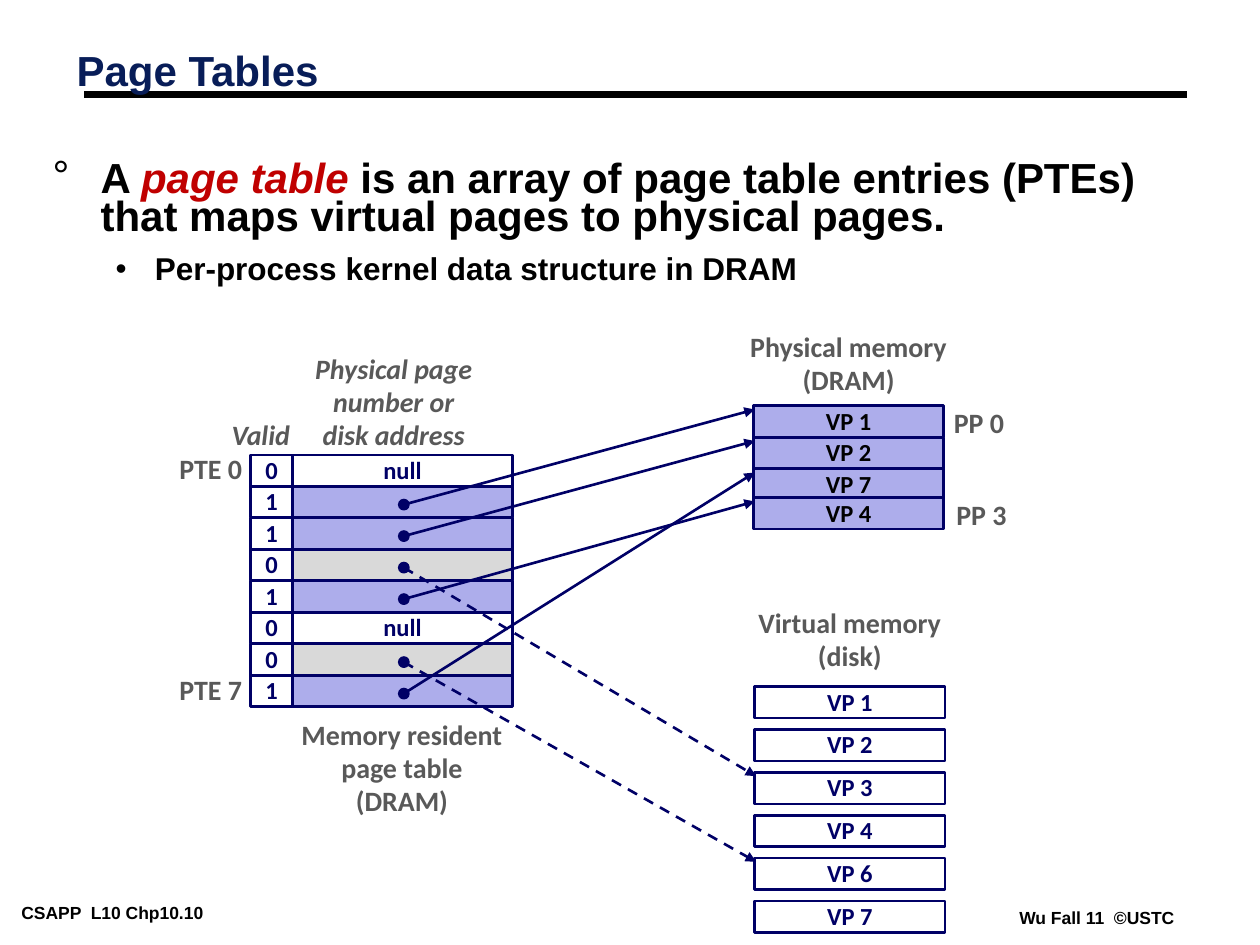
from dataclasses import dataclass

from lxml import etree
from pptx import Presentation
from pptx import util as u
from pptx.dml.color import RGBColor
from pptx.enum import dml, shapes, text
from pptx.oxml import ns

LEFT, MID, RIGHT = text.PP_ALIGN.LEFT, text.PP_ALIGN.CENTER, text.PP_ALIGN.RIGHT
TOP, MIDDLE = text.MSO_ANCHOR.TOP, text.MSO_ANCHOR.MIDDLE


@dataclass(frozen=True)
class Theme:
    ink: str = "000000"
    title: str = "081D58"
    key: str = "C00000"
    navy: str = "000066"
    gray: str = "595959"
    lilac: str = "ADADEB"
    pale: str = "D9D9D9"
    white: str = "FFFFFF"
    head: str = "Arial"
    note: str = "Calibri"
    big: int = 24
    sub: int = 18
    label: int = 16
    cell: int = 14
    foot: int = 10


T = Theme()


def rgb(code):
    return RGBColor.from_string(code)


def add_run(para, words, size, color, face=T.head, slant=False):
    run = para.add_run()
    run.text = words
    font = run.font
    font.name, font.size, font.bold, font.italic = face, u.Pt(size), True, slant
    font.color.rgb = rgb(color)


def set_frame(frame, anchor=TOP, wrap=False, pad=(0.1, 0.05)):
    frame.word_wrap = wrap
    frame.vertical_anchor = anchor
    frame.margin_left = frame.margin_right = u.Inches(pad[0])
    frame.margin_top = frame.margin_bottom = u.Inches(pad[1])
    return frame


def add_box(slide, box, **style):
    return set_frame(slide.shapes.add_textbox(*box).text_frame, **style)


def add_label(slide, box, lines, align=MID, slant=False, anchor=TOP):
    frame = add_box(slide, box, anchor=anchor)
    for i, words in enumerate(lines):
        para = frame.add_paragraph() if i else frame.paragraphs[0]
        para.alignment, para.line_spacing = align, 0.98
        add_run(para, words, T.label, T.gray, T.note, slant)


def add_cell(slide, box, fill=None, words="", color=T.navy):
    cell = slide.shapes.add_shape(shapes.MSO_SHAPE.RECTANGLE, *box)
    cell.shadow.inherit = False
    if fill:
        cell.fill.solid()
        cell.fill.fore_color.rgb = rgb(fill)
    else:
        cell.fill.background()
    cell.line.color.rgb, cell.line.width = rgb(T.navy), u.Pt(1.5)
    if words:
        para = set_frame(cell.text_frame, MIDDLE).paragraphs[0]
        para.alignment, para.line_spacing = MID, 0.98
        add_run(para, words, T.cell, color, T.note)


def add_dot(slide, x, y):
    size = u.Inches(0.08)
    dot = slide.shapes.add_shape(
        shapes.MSO_SHAPE.OVAL, x - size // 2, y - size // 2, size, size)
    dot.shadow.inherit = False
    dot.fill.solid()
    dot.fill.fore_color.rgb = dot.line.color.rgb = rgb(T.navy)
    dot.line.width = u.Pt(1)


def add_line(slide, start, end, color, width):
    line = slide.shapes.add_connector(shapes.MSO_CONNECTOR.STRAIGHT, *start, *end)
    line.line.color.rgb, line.line.width = rgb(color), u.Pt(width)
    etree.SubElement(line._element.spPr, ns.qn("a:effectLst"))
    return line


def add_arrow(slide, start, end, dashed):
    line = add_line(slide, start, end, T.navy, 1.5)
    if dashed:
        line.line.dash_style = dml.MSO_LINE.DASH
    tail = etree.SubElement(line.line._get_or_add_ln(), ns.qn("a:tailEnd"))
    tail.set("type", "triangle")


def add_bullet(para, mark, left, hang):
    props = para._p.get_or_add_pPr()
    props.set("marL", str(u.Inches(left)))
    props.set("indent", str(-u.Inches(hang)))
    color = etree.SubElement(props, ns.qn("a:buClr"))
    etree.SubElement(color, ns.qn("a:srgbClr")).set("val", T.ink)
    etree.SubElement(props, ns.qn("a:buFont")).set("typeface", T.head)
    etree.SubElement(props, ns.qn("a:buChar")).set("char", mark)


def draw_head(slide, left, top, width, height):
    y = top + u.Inches(0.39)
    add_line(slide, (left + u.Inches(0.16), y),
             (left + width - u.Inches(0.15), y), T.ink, 4.5)
    frame = add_box(slide, (left, top, width, height), anchor=MIDDLE, wrap=True)
    para = frame.paragraphs[0]
    para.line_spacing = 0.87
    add_run(para, "Page Tables", T.big, T.title)


def draw_body(slide, *box):
    frame = add_box(slide, box, wrap=True)
    para = frame.paragraphs[0]
    add_bullet(para, "°", 0.38, 0.38)
    para.line_spacing = 0.75
    add_run(para, "A ", T.big, T.ink)
    add_run(para, "page table ", T.big, T.key, slant=True)
    add_run(para, "is an array of page table entries (PTEs) "
            "that maps virtual pages to physical pages.", T.big, T.ink)
    para = frame.add_paragraph()
    add_bullet(para, "•", 0.81, 0.31)
    para.line_spacing, para.space_before = 0.85, u.Pt(9)
    add_run(para, "Per-process kernel data structure in DRAM", T.sub, T.ink)


def draw_table(slide, left, top, width, row):
    flag = u.Inches(0.33)
    mid = left + flag + (width - flag) // 2
    kinds = ["null", "page", "page", "disk", "page", "null", "disk", "page"]
    fills = {"null": T.white, "page": T.lilac, "disk": T.pale}
    dots = {}
    for i, kind in enumerate(kinds):
        y = top + i * row
        add_cell(slide, (left, y, flag, row), words="1" if kind == "page" else "0")
        add_cell(slide, (left + flag, y, width - flag, row), fills[kind],
                 "null" if kind == "null" else "")
        if kind != "null":
            dots[i] = (mid + u.Inches(0.01), y + row // 2 + u.Inches(0.02))
            add_dot(slide, *dots[i])
    add_label(slide, (left - u.Inches(0.25), top - u.Inches(0.33),
                      u.Inches(0.75), u.Inches(0.36)), ["Valid"], LEFT, True)
    add_label(slide, (left + u.Inches(0.41), top - u.Inches(0.86),
                      u.Inches(1.45), u.Inches(0.89)),
              ["Physical page", "number or", "disk address"], slant=True, anchor=MIDDLE)
    for i in (0, 7):
        add_label(slide, (left - u.Inches(0.67), top + i * row - u.Inches(0.06),
                          u.Inches(0.7), u.Inches(0.36)),
                  [f"PTE {i}"], RIGHT, anchor=MIDDLE)
    add_label(slide, (left + u.Inches(0.3), top + 8 * row + u.Inches(0.05),
                      u.Inches(1.8), u.Inches(0.89)),
              ["Memory resident", "page table", "(DRAM)"])
    return dots


def draw_store(slide, left, top, width, row, title, gap, pages, tops, fill, color):
    side = u.Inches(0.13)
    add_label(slide, (left - side, top - gap, width + 2 * side, u.Inches(0.62)), title)
    ports = {}
    for page, y in zip(pages, tops):
        add_cell(slide, (left, top + y, width, row), fill, f"VP {page}", color)
        ports[page] = (left + u.Inches(0.01), top + y + u.Inches(0.03))
    return ports


def draw_map(slide, left, top, width):
    row, wide = u.Inches(0.25), u.Inches(1.51)
    dots = draw_table(slide, left, top, u.Inches(2.08), row)
    x, y = left + width - wide, top - u.Inches(0.39)
    ram = draw_store(slide, x, y, wide, row, ["Physical memory", "(DRAM)"],
                     u.Inches(0.64), (1, 2, 7, 4),
                     [u.Inches(n) for n in (0, 0.25, 0.5, 0.73)], T.lilac, T.ink)
    for words, shift, drop in (("PP 0", -0.02, -0.04), ("PP 3", 0, 0.69)):
        add_label(slide, (x + wide + u.Inches(shift), y + u.Inches(drop),
                          u.Inches(0.6), u.Inches(0.36)), [words], anchor=MIDDLE)
    disk = draw_store(slide, x + u.Inches(0.01), top + u.Inches(1.84), wide, row,
                      ["Virtual memory", "(disk)"], u.Inches(0.68),
                      (1, 2, 3, 4, 6, 7),
                      [i * u.Inches(0.34) for i in range(6)], T.white, T.navy)
    for i, page in ((1, 1), (2, 2), (4, 4), (7, 7)):
        add_arrow(slide, dots[i], ram[page], False)
    for i, page in ((3, 3), (6, 6)):
        add_arrow(slide, dots[i], disk[page], True)


def draw_foot(slide, left, top, width):
    parts = (("CSAPP  L10 Chp10.10", 0, 0, 2.1),
             ("Wu Fall 11  ©USTC", width - u.Inches(1.38), 0.04, 1.38))
    for words, x, drop, wide in parts:
        frame = add_box(slide, (left + x, top + u.Inches(drop), u.Inches(wide),
                                u.Inches(0.22)), pad=(0.07, 0.03))
        add_run(frame.paragraphs[0], words, T.foot, T.ink)


def main():
    deck = Presentation()
    deck.slide_width, deck.slide_height = u.Inches(10), u.Inches(7.5)
    slide = deck.slides.add_slide(deck.slide_layouts[6])
    draw_foot(slide, u.Inches(0.1), u.Inches(7.13), u.Inches(9.3))
    draw_head(slide, u.Inches(0.51), u.Inches(0.36), u.Inches(9.06), u.Inches(0.45))
    draw_body(slide, u.Inches(0.32), u.Inches(1.25), u.Inches(9.09), u.Inches(1.41))
    draw_map(slide, u.Inches(1.99), u.Inches(3.61), u.Inches(5.5))
    deck.save("out.pptx")


if __name__ == "__main__":
    main()
